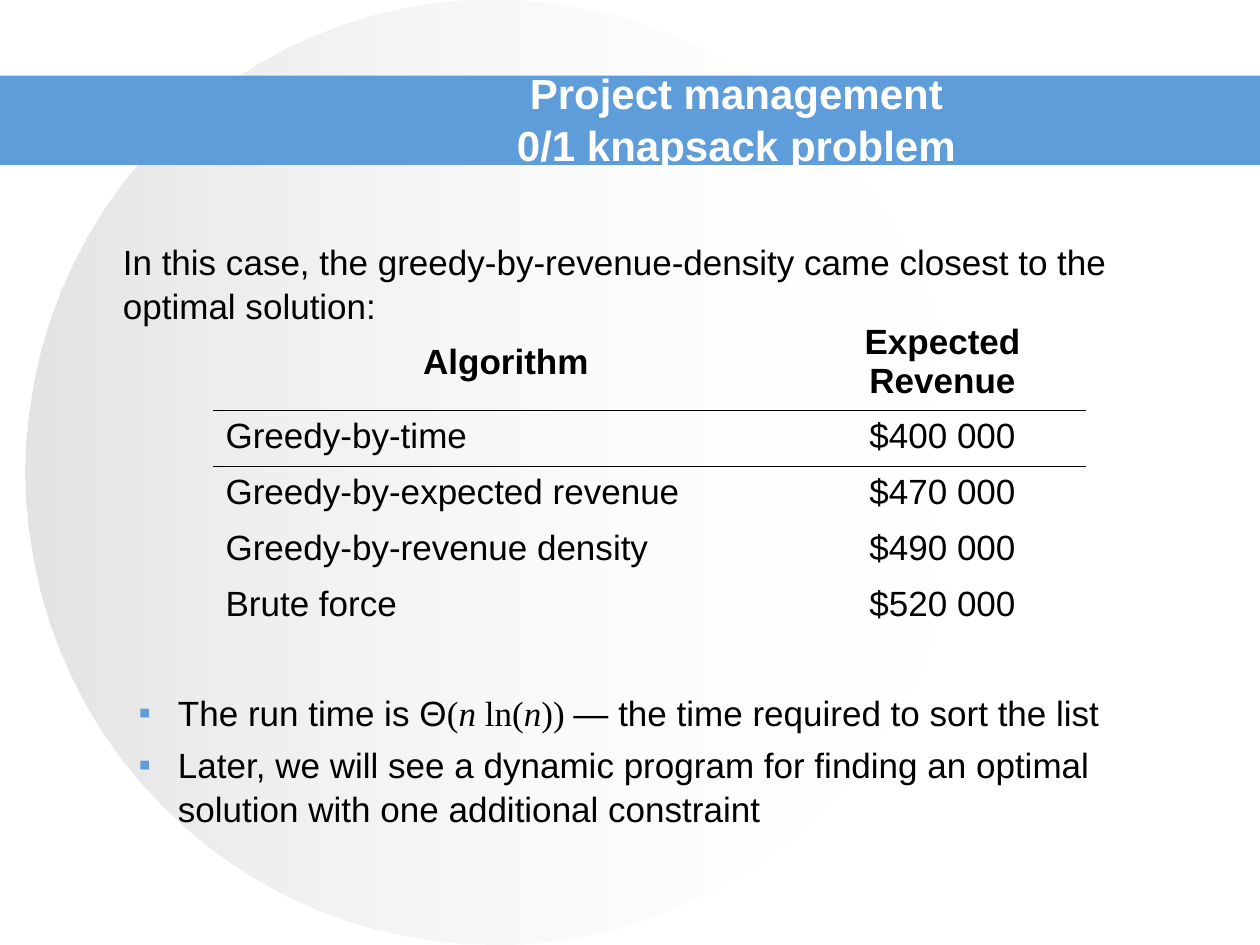
from dataclasses import dataclass

from lxml import etree
from pptx import Presentation
from pptx.dml.color import RGBColor
from pptx.enum.shapes import MSO_SHAPE
from pptx.enum.text import MSO_ANCHOR, MSO_AUTO_SIZE, PP_ALIGN
from pptx.oxml.ns import qn
from pptx.util import Pt

CENTER, LEFT = PP_ALIGN.CENTER, PP_ALIGN.LEFT
MIDDLE, TOP = MSO_ANCHOR.MIDDLE, MSO_ANCHOR.TOP
NO_AUTOFIT = MSO_AUTO_SIZE.NONE
OVAL, RECTANGLE = MSO_SHAPE.OVAL, MSO_SHAPE.RECTANGLE
NO_GRID_STYLE = "{2D5ABB26-0587-4C30-8999-92F81FD0307C}"


@dataclass(frozen=True)
class Theme:
    accent: str = "5E9CDA"
    ink: str = "000000"
    paper: str = "FFFFFF"
    disc: str = "C0C0C0"
    font: str = "Arial"
    math_font: str = "Times New Roman"
    title_size: int = 24
    text_size: int = 20
    line_spacing: float = 1.04


THEME = Theme()

ROWS = [
    ("Algorithm", "Expected Revenue"),
    ("Greedy-by-time", "$400 000"),
    ("Greedy-by-expected revenue", "$470 000"),
    ("Greedy-by-revenue density", "$490 000"),
    ("Brute force", "$520 000"),
]


def add_span(para, text, size=THEME.text_size, font=THEME.font,
             color=THEME.ink, bold=False, italic=False):
    span = para.add_run()
    span.text = text
    span.font.size = Pt(size)
    span.font.name = font
    span.font.bold = bold
    span.font.italic = italic
    span.font.color.rgb = RGBColor.from_string(color)


def add_math(para, text, italic=False):
    add_span(para, text, font=THEME.math_font, italic=italic)


def place(box, left, top, width, height):
    box.left, box.top = Pt(left), Pt(top)
    box.width, box.height = Pt(width), Pt(height)
    box.text_frame.auto_size = NO_AUTOFIT
    box.text_frame.word_wrap = True


def format_para(para, bullet=None, margin=0, indent=0, before=0):
    """Set the spacing, hanging indent and bullet of a body paragraph."""
    para.line_spacing = THEME.line_spacing
    para.space_before = Pt(before)
    props = para._p.get_or_add_pPr()
    props.set("marL", str(Pt(margin)))
    props.set("indent", str(Pt(indent)))
    if bullet:
        color = etree.SubElement(props, qn("a:buClr"))
        etree.SubElement(color, qn("a:srgbClr"), val=THEME.accent)
        etree.SubElement(props, qn("a:buFont"), typeface=THEME.font)
        etree.SubElement(props, qn("a:buChar"), char=bullet)
    else:
        etree.SubElement(props, qn("a:buNone"))


def add_backdrop(page, kind, left, top, width, height):
    """Add a plain shape behind the title."""
    shape = page.shapes.add_shape(kind, Pt(left), Pt(top), Pt(width), Pt(height))
    shape.shadow.inherit = False
    shape.line.fill.background()
    page.shapes.title._element.addprevious(shape._element)
    return shape


def fade_fill(shape):
    shape.fill.gradient()
    shape.fill.gradient_angle = 0
    stops = zip(shape.fill.gradient_stops, (THEME.disc, THEME.paper), (44000, 0))
    for stop, color, opacity in stops:
        stop.color.rgb = RGBColor.from_string(color)
        rgb = stop._gs.find(qn("a:srgbClr"))
        etree.SubElement(rgb, qn("a:alpha"), val=str(opacity))


def add_rule(cell, side):
    line = etree.SubElement(cell._tc.get_or_add_tcPr(), qn(f"a:{side}"), w=str(Pt(0.45)))
    fill = etree.SubElement(line, qn("a:solidFill"))
    etree.SubElement(fill, qn("a:srgbClr"), val=THEME.ink)


def add_backdrops(page):
    fade_fill(add_backdrop(page, OVAL, 14.4, 0, 535.7, 540))
    band = add_backdrop(page, RECTANGLE, 0, 43.2, 720, 51)
    band.fill.solid()
    band.fill.fore_color.rgb = RGBColor.from_string(THEME.accent)


def fill_title(box):
    place(box, 123.8, 48.2, 594, 38.2)
    box.text_frame.vertical_anchor = MIDDLE
    para = box.text_frame.paragraphs[0]
    para.alignment = CENTER
    para.line_spacing = THEME.line_spacing
    style = {"size": THEME.title_size, "color": THEME.paper, "bold": True}
    add_span(para, "Project management", **style)
    para.add_line_break()
    add_span(para, "0/1 knapsack problem", **style)


def fill_body(box):
    place(box, 36, 133, 651, 365)
    frame = box.text_frame
    frame.vertical_anchor = TOP

    intro = frame.paragraphs[0]
    format_para(intro, margin=27)
    add_span(intro, "In this case, the greedy-by-revenue-density came closest "
                    "to the optimal solution:")

    # The first bullet leaves room for the table
    bullets = []
    for before in (207.5, 5):
        para = frame.add_paragraph()
        para.level = 1
        format_para(para, bullet="▪", margin=58.5, indent=-22.5, before=before)
        bullets.append(para)
    run_time, later = bullets

    add_span(run_time, "The run time is Θ")
    add_math(run_time, "(")
    add_math(run_time, "n", italic=True)
    add_math(run_time, " ln(")
    add_math(run_time, "n", italic=True)
    add_math(run_time, ")) ")
    add_span(run_time, "— the time required to sort the list")
    add_span(later, "Later, we will see a dynamic program for finding an optimal "
                    "solution with one additional constraint")


def add_revenue_table(page):
    frame = page.shapes.add_table(len(ROWS), 2, Pt(121.7), Pt(179.3), Pt(499), Pt(183))
    table = frame.table
    table.first_row = table.horz_banding = False
    table._tbl.tblPr.find(qn("a:tableStyleId")).text = NO_GRID_STYLE
    for column, width in zip(table.columns, (334.8, 164.2)):
        column.width = Pt(width)
    for r, values in enumerate(ROWS):
        header = r == 0
        table.rows[r].height = Pt(55.4 if header else 31.9)
        for c, value in enumerate(values):
            cell = table.cell(r, c)
            cell.vertical_anchor = MIDDLE if header else TOP
            if header:
                add_rule(cell, "lnB")
            elif r == 1:
                add_rule(cell, "lnT")
            cell.fill.background()
            para = cell.text_frame.paragraphs[0]
            para.alignment = CENTER if header or c == 1 else LEFT
            add_span(para, value, bold=header)


def main():
    deck = Presentation()
    deck.slide_width, deck.slide_height = Pt(720), Pt(540)
    page = deck.slides.add_slide(deck.slide_layouts[1])
    add_backdrops(page)
    fill_title(page.shapes.title)
    fill_body(page.placeholders[1])
    add_revenue_table(page)
    deck.save("out.pptx")


if __name__ == "__main__":
    main()
